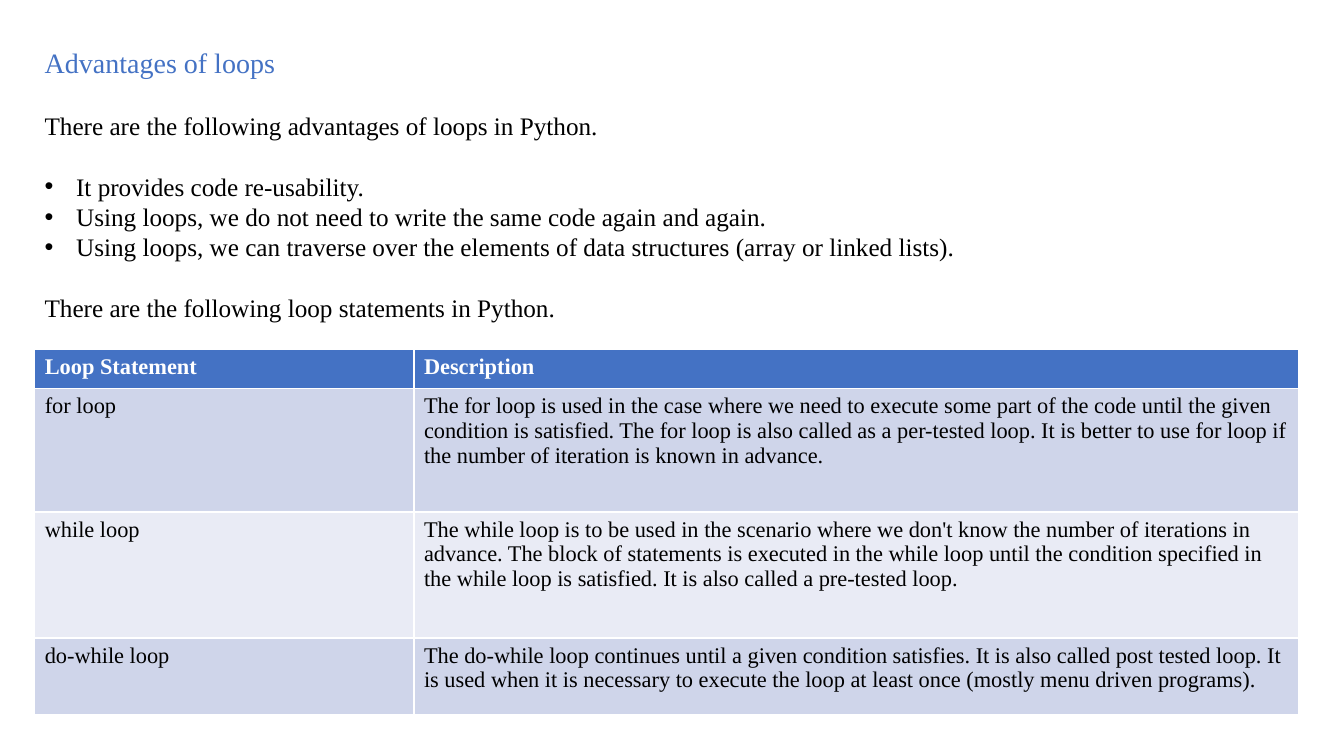
from pptx import Presentation
from pptx.dml.color import RGBColor
from pptx.oxml import xmlchemy as x
from pptx.util import Pt

FONT = "Times New Roman"
BLUE = RGBColor(0x44, 0x72, 0xC4)
BLACK = RGBColor(0, 0, 0)
WHITE = RGBColor(255, 255, 255)
BANDS = [RGBColor(0xCF, 0xD5, 0xEA), RGBColor(0xE9, 0xEB, 0xF5)]

TITLE = "Advantages of loops"
ADVANTAGES_LEAD = "There are the following advantages of loops in Python."
ADVANTAGES = [
    "It provides code re-usability.",
    "Using loops, we do not need to write the same code again and again.",
    "Using loops, we can traverse over the elements of data structures (array or linked lists).",
]
STATEMENTS_LEAD = "There are the following loop statements in Python."
STATEMENTS = [
    ("Loop Statement", "Description"),
    ("for loop",
     "The for loop is used in the case where we need to execute some part of the code "
     "until the given condition is satisfied. The for loop is also called as a per-tested "
     "loop. It is better to use for loop if the number of iteration is known in advance."),
    ("while loop",
     "The while loop is to be used in the scenario where we don't know the number of "
     "iterations in advance. The block of statements is executed in the while loop until "
     "the condition specified in the while loop is satisfied. It is also called a "
     "pre-tested loop."),
    ("do-while loop",
     "The do-while loop continues until a given condition satisfies. It is also called "
     "post tested loop. It is used when it is necessary to execute the loop at least once "
     "(mostly menu driven programs)."),
]


def style(paragraph, size, color, bold=False):
    font = paragraph.font
    font.name, font.size, font.bold = FONT, Pt(size), bold
    font.color.rgb = color


def add_bullet(paragraph, indent):
    properties = paragraph._p.get_or_add_pPr()
    properties.set("marL", str(Pt(indent)))
    properties.set("indent", str(-Pt(indent)))
    for tag, key, value in (("a:buFont", "typeface", "Arial"), ("a:buChar", "char", "•")):
        mark = x.OxmlElement(tag)
        mark.set(key, value)
        properties.append(mark)


def add_advantages(slide, left, top, width, height):
    frame = slide.shapes.add_textbox(Pt(left), Pt(top), Pt(width), Pt(height)).text_frame
    frame.word_wrap = True
    lines = [TITLE, ADVANTAGES_LEAD, *ADVANTAGES, STATEMENTS_LEAD]
    frame.text = "\n".join(lines)
    for line, paragraph in zip(lines, frame.paragraphs):
        is_title = line == TITLE
        style(paragraph, 20 if is_title else 18, BLUE if is_title else BLACK)
        if line in (ADVANTAGES_LEAD, ADVANTAGES[0], STATEMENTS_LEAD):
            paragraph.space_before = Pt(22)
        if line in ADVANTAGES:
            add_bullet(paragraph, 22.5)


def add_statements(slide, left, top, width, row_heights):
    table = slide.shapes.add_table(
        len(STATEMENTS), 2, Pt(left), Pt(top), Pt(width), Pt(sum(row_heights))).table
    name_width = round(width * 0.3, 1)
    table.columns[0].width = Pt(name_width)
    table.columns[1].width = Pt(width - name_width)
    for index, (statement, height) in enumerate(zip(STATEMENTS, row_heights)):
        table.rows[index].height = Pt(height)
        is_header = index == 0
        for cell, words in zip(table.rows[index].cells, statement):
            cell.text = words
            cell.fill.solid()
            cell.fill.fore_color.rgb = BLUE if is_header else BANDS[(index - 1) % 2]
            style(cell.text_frame.paragraphs[0], 16, WHITE if is_header else BLACK, is_header)


deck = Presentation()
deck.slide_width, deck.slide_height = Pt(960), Pt(540)
loops_slide = deck.slides.add_slide(deck.slide_layouts[6])
add_advantages(loops_slide, 24.8, 29, 903, 271)
add_statements(loops_slide, 24.8, 249.8, 903, [28, 88, 90, 55])
deck.save("out.pptx")
